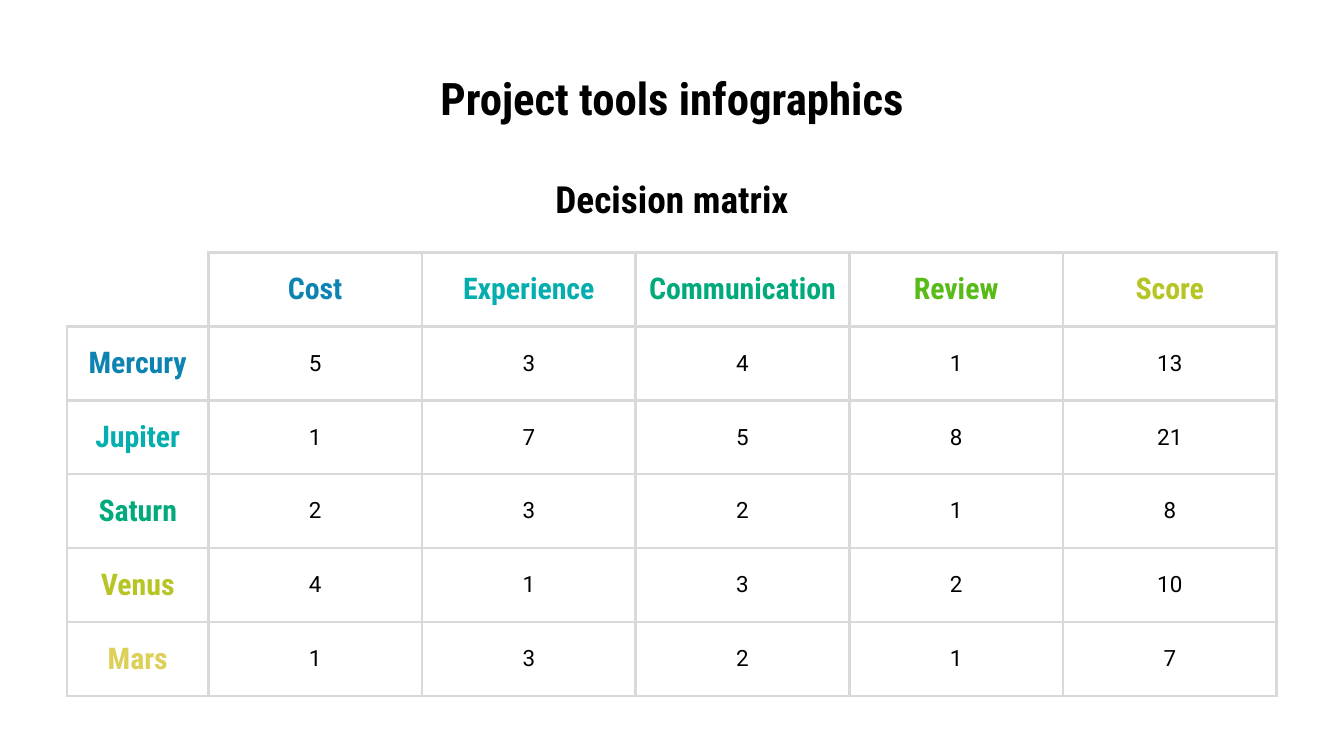
import pptx
import pptx.dml.color
import pptx.enum.text
import pptx.oxml
import pptx.oxml.ns
import pptx.util

Inches = pptx.util.Inches
SLIDE_WIDTH = 10
HEADING_FONT = "Roboto Condensed"
BODY_FONT = "Roboto"
BLACK = "000000"
GRID = "D9D9D9"
CRITERIA = {
    "Cost": "0D83B1",
    "Experience": "04AEAE",
    "Communication": "00AA7D",
    "Review": "59BB18",
    "Score": "B6C524",
}
TOOLS = [
    ("Mercury", "0D83B1", [5, 3, 4, 1, 13]),
    ("Jupiter", "04AEAE", [1, 7, 5, 8, 21]),
    ("Saturn", "00AA7D", [2, 3, 2, 1, 8]),
    ("Venus", "B6C524", [4, 1, 3, 2, 10]),
    ("Mars", "DDD058", [1, 3, 2, 1, 7]),
]


def rgb(color):
    return pptx.dml.color.RGBColor.from_string(color)


def write(frame, text, size=16, font=HEADING_FONT, color=BLACK, bold=True):
    paragraph = frame.paragraphs[0]
    paragraph.alignment = pptx.enum.text.PP_ALIGN.CENTER
    run = paragraph.add_run()
    run.text = text
    run.font.size = pptx.util.Pt(size)
    run.font.name = font
    run.font.bold = bold
    run.font.color.rgb = rgb(color)


def set_margins(holder):
    holder.margin_left = holder.margin_right = Inches(0.1)
    holder.margin_top = holder.margin_bottom = Inches(0.1)
    holder.vertical_anchor = pptx.enum.text.MSO_ANCHOR.MIDDLE


def add_heading(shape, box, text, size):
    shape.left, shape.top, shape.width, shape.height = map(Inches, box)
    frame = shape.text_frame
    frame.word_wrap = True
    frame.auto_size = pptx.enum.text.MSO_AUTO_SIZE.NONE
    set_margins(frame)
    write(frame, text, size=size)


def format_cell(cell, open_sides=""):
    set_margins(cell)
    properties = cell._tc.get_or_add_tcPr()
    for side in "LRTB":
        if side in open_sides:
            paint = "<a:noFill/>"
        else:
            paint = f'<a:solidFill><a:srgbClr val="{GRID}"/></a:solidFill>'
        properties.append(pptx.oxml.parse_xml(
            f'<a:ln{side} {pptx.oxml.ns.nsdecls("a")} w="{pptx.util.Pt(1.5)}">'
            f"{paint}</a:ln{side}>"
        ))
    cell.fill.background()


def add_matrix(slide, box, label_width):
    left, top, width, height = box
    row_count, column_count = len(TOOLS) + 1, len(CRITERIA) + 1
    matrix = slide.shapes.add_table(
        row_count, column_count, *map(Inches, box)
    ).table
    matrix.first_row = matrix.horz_banding = False
    for row in matrix.rows:
        row.height = Inches(height / row_count)
    score_width = (width - label_width) / len(CRITERIA)
    for index, column in enumerate(matrix.columns):
        column.width = Inches(score_width if index else label_width)

    for row in range(row_count):
        for column in range(column_count):
            is_corner = row == column == 0
            format_cell(matrix.cell(row, column), "LT" if is_corner else "")
    for column, (criterion, color) in enumerate(CRITERIA.items(), 1):
        write(matrix.cell(0, column).text_frame, criterion, color=color)
    for row, (tool, color, scores) in enumerate(TOOLS, 1):
        write(matrix.cell(row, 0).text_frame, tool, color=color)
        for column, score in enumerate(scores, 1):
            write(matrix.cell(row, column).text_frame, str(score),
                  size=12, font=BODY_FONT, bold=False)


def main():
    deck = pptx.Presentation()
    deck.slide_width = Inches(SLIDE_WIDTH)
    deck.slide_height = Inches(SLIDE_WIDTH * 9 / 16)
    slide = deck.slides.add_slide(deck.slide_layouts.get_by_name("Title Only"))
    slide.background.fill.solid()
    slide.background.fill.fore_color.rgb = rgb("FFFFFF")

    add_heading(slide.shapes.title, (0.79, 0.49, 8.42, 0.47),
                "Project tools infographics", 24)
    subtitle = slide.shapes.add_textbox(0, 0, 0, 0)
    add_heading(subtitle, (2.7, 1.27, 4.6, 0.42), "Decision matrix", 20)
    add_matrix(slide, (0.5, 1.88, 9, 3.3), label_width=1.05)
    deck.save("out.pptx")


if __name__ == "__main__":
    main()
